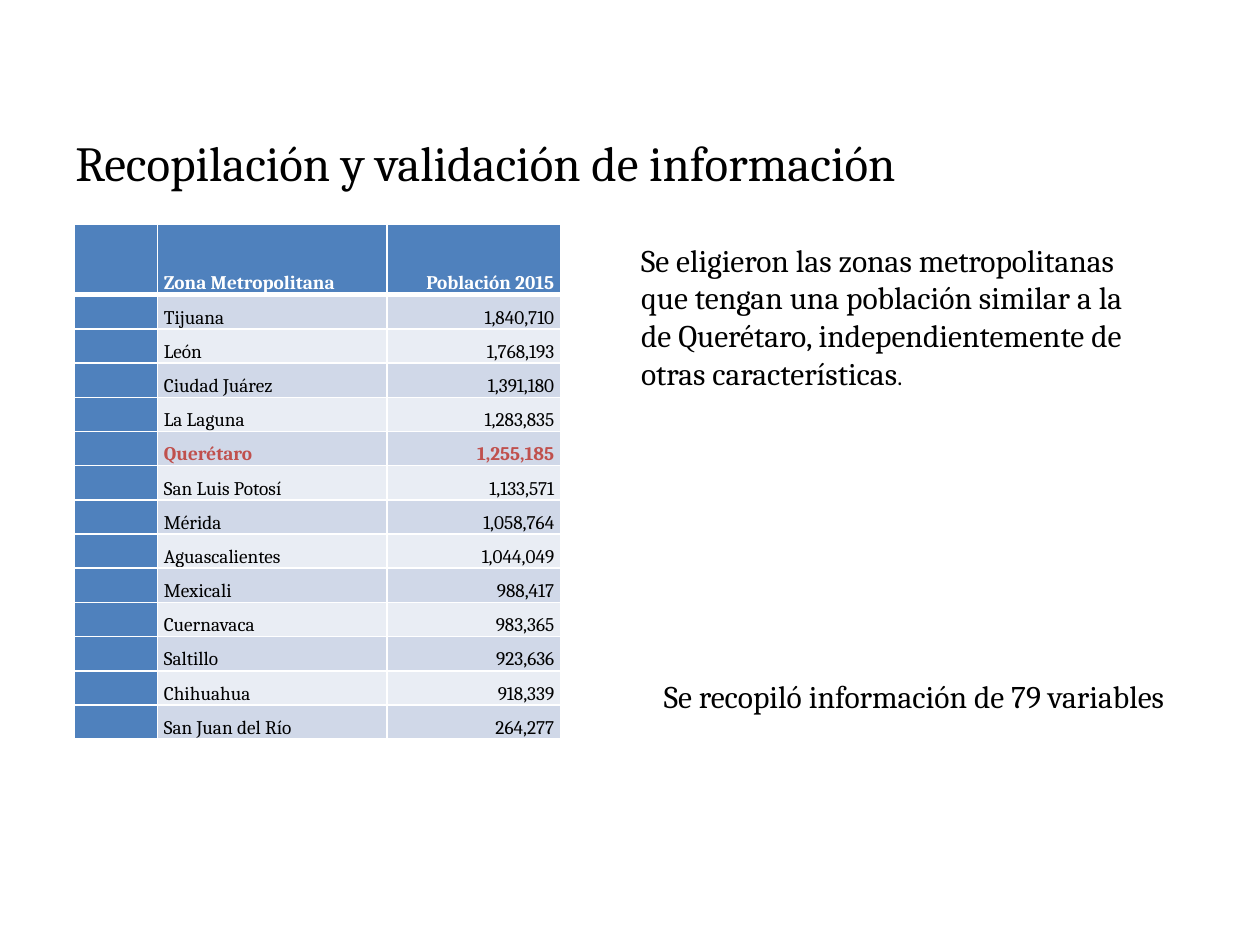
import pptx
import pptx.dml.color
import pptx.enum.text
import pptx.oxml.ns
import pptx.util
import lxml.etree

COLS, ROWS = 100, 75
ALIGN = pptx.enum.text.PP_ALIGN
ANCHOR = pptx.enum.text.MSO_ANCHOR

ZONES = [
    ("Tijuana", "1,840,710"),
    ("León", "1,768,193"),
    ("Ciudad Juárez", "1,391,180"),
    ("La Laguna", "1,283,835"),
    ("Querétaro", "1,255,185"),
    ("San Luis Potosí", "1,133,571"),
    ("Mérida", "1,058,764"),
    ("Aguascalientes", "1,044,049"),
    ("Mexicali", "988,417"),
    ("Cuernavaca", "983,365"),
    ("Saltillo", "923,636"),
    ("Chihuahua", "918,339"),
    ("San Juan del Río", "264,277"),
]


def rgb(value):
    return pptx.dml.color.RGBColor.from_string(value)


def add_xml(parent, tag, **attrs):
    return lxml.etree.SubElement(parent, pptx.oxml.ns.qn(tag), attrs)


class Deck:
    font = "Cambria"
    ink = "000000"
    white = "FFFFFF"
    accent = "4F81BD"
    highlight = "C0504D"
    bands = ("D0D8E8", "E9EDF4")
    cell_size = 11

    def __init__(self, prs):
        self.prs = prs
        self.s = prs.slides.add_slide(prs.slide_layouts[6])

    def x(self, cols):
        return int(self.prs.slide_width * cols / COLS)

    def y(self, rows):
        return int(self.prs.slide_height * rows / ROWS)

    def box(self, left, top, width, height):
        return self.x(left), self.y(top), self.x(width), self.y(height)

    def run(self, p, text, size, color=ink, bold=False):
        r = p.add_run()
        r.text = text
        r.font.name = self.font
        r.font.size = pptx.util.Pt(size)
        r.font.bold = bold
        r.font.color.rgb = rgb(color)

    def text(self, box, runs, grow=True):
        tf = self.s.shapes.add_textbox(*self.box(*box)).text_frame
        tf.word_wrap = True
        tf.vertical_anchor = ANCHOR.TOP
        if grow:
            tf.auto_size = pptx.enum.text.MSO_AUTO_SIZE.SHAPE_TO_FIT_TEXT
        for text, size in runs:
            self.run(tf.paragraphs[0], text, size)

    def borders(self, cell, top, bottom):
        tc_pr = cell._tc.get_or_add_tcPr()
        for side, width in zip("LRTB", (1, 1, top, bottom)):
            ln = add_xml(tc_pr, f"a:ln{side}", w=str(pptx.util.Pt(width)))
            add_xml(add_xml(ln, "a:solidFill"), "a:srgbClr", val=self.white)

    def cell(self, cell, text, fill, align, color, bold):
        cell.margin_left = cell.margin_right = pptx.util.Inches(0.05)
        cell.margin_top = cell.margin_bottom = 0
        cell.vertical_anchor = ANCHOR.BOTTOM
        cell.fill.solid()
        cell.fill.fore_color.rgb = rgb(fill)
        p = cell.text_frame.paragraphs[0]
        p.alignment = align
        p.line_spacing = 1.15
        if text:
            self.run(p, text, self.cell_size, color, bold)
        else:
            add_xml(p._p, "a:endParaRPr", sz=str(self.cell_size * 100))

    def table(self, box, widths, header_height, header, records, marked):
        rows = [header, *records]
        height = (box[3] - header_height) / len(records)
        shape = self.s.shapes.add_table(len(rows), len(widths) + 0, *self.box(*box))
        table = shape.table
        table.first_col = True
        for column, width in zip(table.columns, widths):
            column.width = self.x(width)
        for i, record in enumerate(rows):
            table.rows[i].height = self.y(height if i else header_height)
            is_marked = record[0] == marked
            color = self.highlight if is_marked else self.ink if i else self.white
            for j, text in enumerate(("", *record)):
                cell = table.cell(i, j)
                self.borders(cell, 3 if i == 1 else 1, 1 if i else 3)
                fill = self.bands[(i - 1) % 2] if i and j else self.accent
                align = ALIGN.RIGHT if j == 2 else ALIGN.JUSTIFY
                self.cell(cell, text, fill, align, color, is_marked or i == 0)


def main():
    prs = pptx.Presentation()
    prs.slide_width = pptx.util.Inches(10)
    prs.slide_height = pptx.util.Inches(7.5)
    deck = Deck(prs)
    deck.text((5, 10, 90, 10), [("Recopilación y validación de información", 28)], grow=False)
    deck.table((5.9, 17.8, 38.6, 40.9), (6.6, 18.2, 13.8), 5.6,
               ("Zona Metropolitana", "Población 2015"), ZONES, "Querétaro")
    deck.text((49.9, 18.6, 42.6, 16.2), [
        ("Se eligieron las zonas metropolitanas que tengan una población similar a la "
         "de Querétaro, independientemente de otras características", 18),
        (".", 14),
    ])
    deck.text((51.7, 53.2, 42.6, 7.1), [("Se recopiló información de 79 variables", 18)])
    prs.save("out.pptx")


if __name__ == "__main__":
    main()
